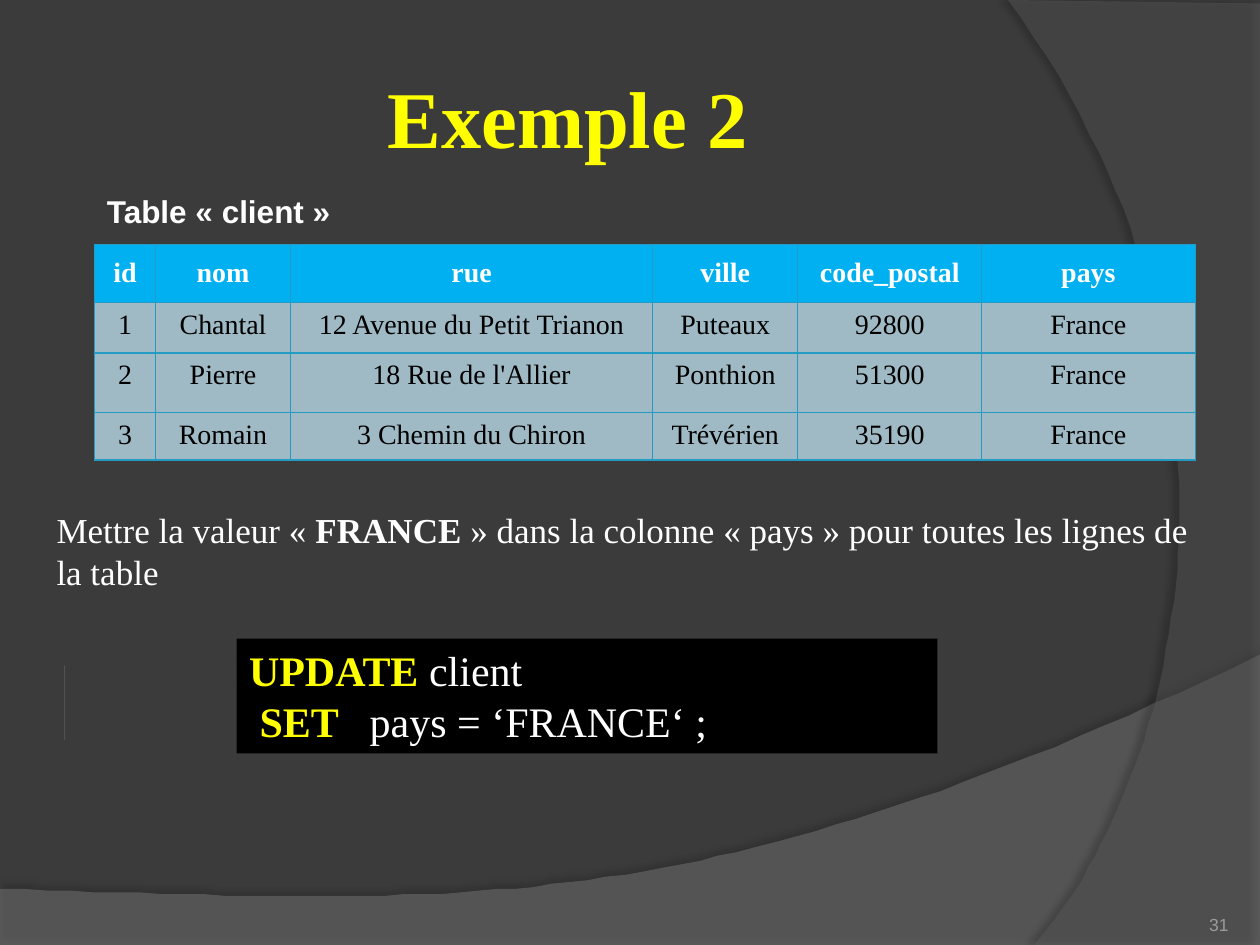
"""Build the SQL UPDATE example slide with its client table."""
import pptx
import pptx.dml.color
import pptx.enum.shapes
import pptx.enum.text
import pptx.oxml
import pptx.oxml.ns
import pptx.util

Pt = pptx.util.Pt
ALIGN = pptx.enum.text.PP_ALIGN
ANCHOR = pptx.enum.text.MSO_ANCHOR
SERIF = "Times New Roman"
YELLOW, WHITE = "FFFF00", "FFFFFF"
COLUMN_WIDTHS = [35, 77, 207, 83, 105, 122]
ROW_HEIGHTS = [33, 29, 34, 26]
CLIENTS = [
    ["id", "nom", "rue", "ville", "code_postal", "pays"],
    ["1", "Chantal", "12 Avenue du Petit Trianon", "Puteaux", "92800", "France"],
    ["2", "Pierre", "18 Rue de l'Allier", "Ponthion", "51300", "France"],
    ["3", "Romain", "3 Chemin du Chiron", "Trévérien", "35190", "France"],
]


def rgb(value):
    return pptx.dml.color.RGBColor.from_string(value)


def xml(tag, body):
    ns = pptx.oxml.ns.nsdecls("a")
    return pptx.oxml.parse_xml(f"<a:{tag} {ns}>{body}</a:{tag}>")


def paint(sp, color):
    sp.shadow.inherit = False
    sp.fill.solid()
    sp.fill.fore_color.rgb = rgb(color)
    sp.line.fill.background()


def set_font(font, size, color, bold=False, name=SERIF):
    font.name, font.size, font.bold = name, Pt(size), bold
    font.color.rgb = rgb(color)


def write(sp, lines, size, align=ALIGN.LEFT, anchor=ANCHOR.TOP, name=SERIF, inset=None, wrap=True):
    """Fill a shape with lines, each a list of (text, color, bold) runs."""
    tf = sp.text_frame
    tf.word_wrap = wrap
    tf.vertical_anchor = anchor
    if inset is not None:
        tf.margin_left = tf.margin_right = tf.margin_top = tf.margin_bottom = Pt(inset)
    for i, line in enumerate(lines):
        p = tf.add_paragraph() if i else tf.paragraphs[0]
        p.alignment = align
        for text, color, bold in line:
            r = p.add_run()
            r.text = text
            set_font(r.font, size, color, bold, name)


def add_text(slide, box, lines, size, **options):
    write(slide.shapes.add_textbox(*map(Pt, box)), lines, size, **options)


def add_rect(slide, box, color):
    sp = slide.shapes.add_shape(pptx.enum.shapes.MSO_SHAPE.RECTANGLE, *map(Pt, box))
    paint(sp, color)
    return sp


def curve(a, b, c, d, steps=60):
    """Return points along a cubic Bezier curve."""
    points = []
    for i in range(steps + 1):
        t = i / steps
        weights = ((1 - t) ** 3, 3 * t * (1 - t) ** 2, 3 * t * t * (1 - t), t ** 3)
        points.append(tuple(sum(w * q[k] for w, q in zip(weights, (a, b, c, d))) for k in (0, 1)))
    return points


def add_swoosh(slide, points, color, opacity, shade, blur, distance, angle):
    builder = slide.shapes.build_freeform(*points[0], scale=Pt(1))
    builder.add_line_segments(points[1:])
    sp = builder.convert_to_shape()
    paint(sp, color)
    fill = sp.fill.fore_color._xFill
    fill[0].append(xml("alpha", ""))
    fill[0][0].set("val", str(opacity * 1000))
    shadow = xml("outerShdw", f'<a:srgbClr val="000000"><a:alpha val="{shade * 1000}"/></a:srgbClr>')
    for key, value in (("blurRad", Pt(blur)), ("dist", Pt(distance)), ("dir", angle * 60000)):
        shadow.set(key, str(int(value)))
    sp._element.spPr.find(pptx.oxml.ns.qn("a:effectLst")).append(shadow)


def add_borders(cell, color, width):
    tcPr = cell._tc.get_or_add_tcPr()
    for i, side in enumerate(("lnL", "lnR", "lnT", "lnB")):
        ln = xml(side, f'<a:solidFill><a:srgbClr val="{color}"/></a:solidFill>')
        ln.set("w", str(Pt(width)))
        tcPr.insert(i, ln)


def add_client_table(slide, left, top):
    size = Pt(sum(COLUMN_WIDTHS)), Pt(sum(ROW_HEIGHTS))
    frame = slide.shapes.add_table(len(CLIENTS), len(CLIENTS[0]), Pt(left), Pt(top), *size)
    table = frame.table
    for column, width in zip(table.columns, COLUMN_WIDTHS):
        column.width = Pt(width)
    for i, (row, height, values) in enumerate(zip(table.rows, ROW_HEIGHTS, CLIENTS)):
        row.height = Pt(height)
        head = i == 0
        for cell, value in zip(row.cells, values):
            cell.text = value
            cell.margin_left = cell.margin_right = Pt(3 if head else 6.5)
            cell.margin_top = cell.margin_bottom = Pt(3 if head else 4)
            cell.vertical_anchor = ANCHOR.MIDDLE if head else ANCHOR.TOP
            cell.fill.solid()
            cell.fill.fore_color.rgb = rgb("00B0F0" if head else "9FBAC5")
            p = cell.text_frame.paragraphs[0]
            p.alignment = ALIGN.CENTER
            set_font(p.font, 16, WHITE if head else "000000", head)
            add_borders(cell, "239BC2", 0.75)


def main():
    prs = pptx.Presentation()
    prs.slide_width, prs.slide_height = Pt(720), Pt(540)
    slide = prs.slides.add_slide(prs.slide_layouts[6])
    slide.background.fill.solid()
    slide.background.fill.fore_color.rgb = rgb("3B3B3B")

    wave = curve((720, 374.4), (402.5, 524.9), (281.5, 517.7), (0, 507.6))
    add_swoosh(slide, [(0, 540.5), (720, 540.5)] + wave, "7F7F7F", 45, 35, 4, 3.5, 270)
    arc = curve((591, 540), (673.2, 445.7), (733, 216), (576, 0))
    add_swoosh(slide, [(720, 1.5), (720, 540)] + arc, "5E5E5E", 40, 45, 4, 4, 180)

    add_text(slide, (36, 21.6, 588, 90), [[("Exemple 2 ", YELLOW, True)]], 46,
             align=ALIGN.CENTER, anchor=ANCHOR.MIDDLE, inset=3.6)
    add_text(slide, (642, 505.5, 60, 28.8), [[("31", "9D9B9A", False)]], 10,
             align=ALIGN.RIGHT, anchor=ANCHOR.BOTTOM, name="Arial", inset=0)
    add_client_table(slide, 54, 139.7)
    add_text(slide, (54, 106, 148, 29), [[("Table «\u00a0client\u00a0»", WHITE, True)]], 18,
             name="Arial", wrap=False)
    add_text(slide, (25.2, 287.3, 669, 55.4), [[
        ("Mettre la valeur «\u00a0", WHITE, False),
        ("FRANCE", WHITE, True),
        ("\u00a0» dans la colonne «\u00a0pays\u00a0» pour toutes les lignes de la table", WHITE, False),
    ]], 20)
    add_rect(slide, (36.7, 380.2, 0, 42.5), "F4F4F4")
    query = add_rect(slide, (135.2, 365, 400.5, 65.5), "000000")
    write(query, [
        [("UPDATE ", YELLOW, True), ("client", WHITE, False)],
        [(" ", WHITE, False), ("SET ", YELLOW, True), ("  pays = ‘FRANCE‘ ;", WHITE, False)],
    ], 24)
    prs.save("out.pptx")


if __name__ == "__main__":
    main()
